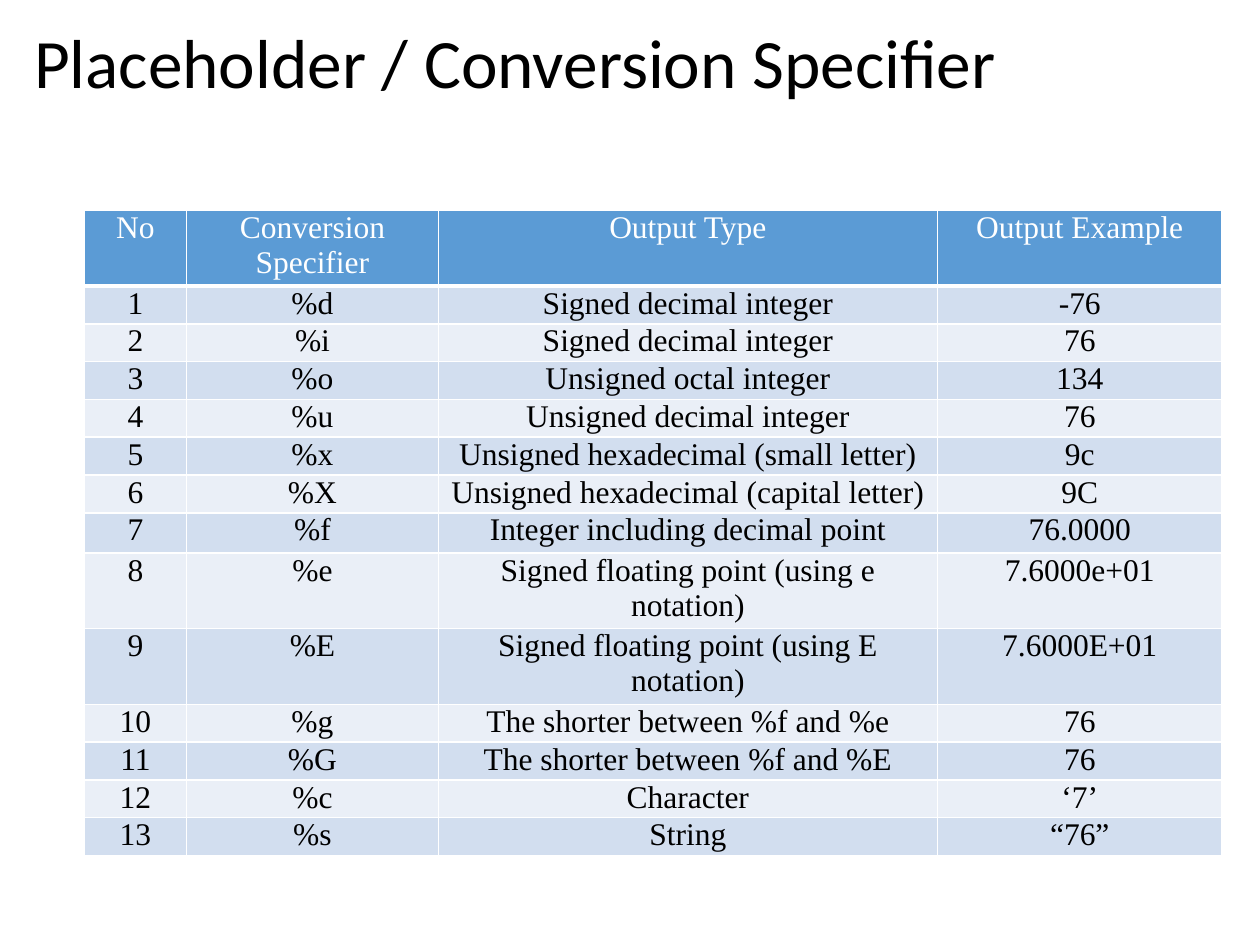
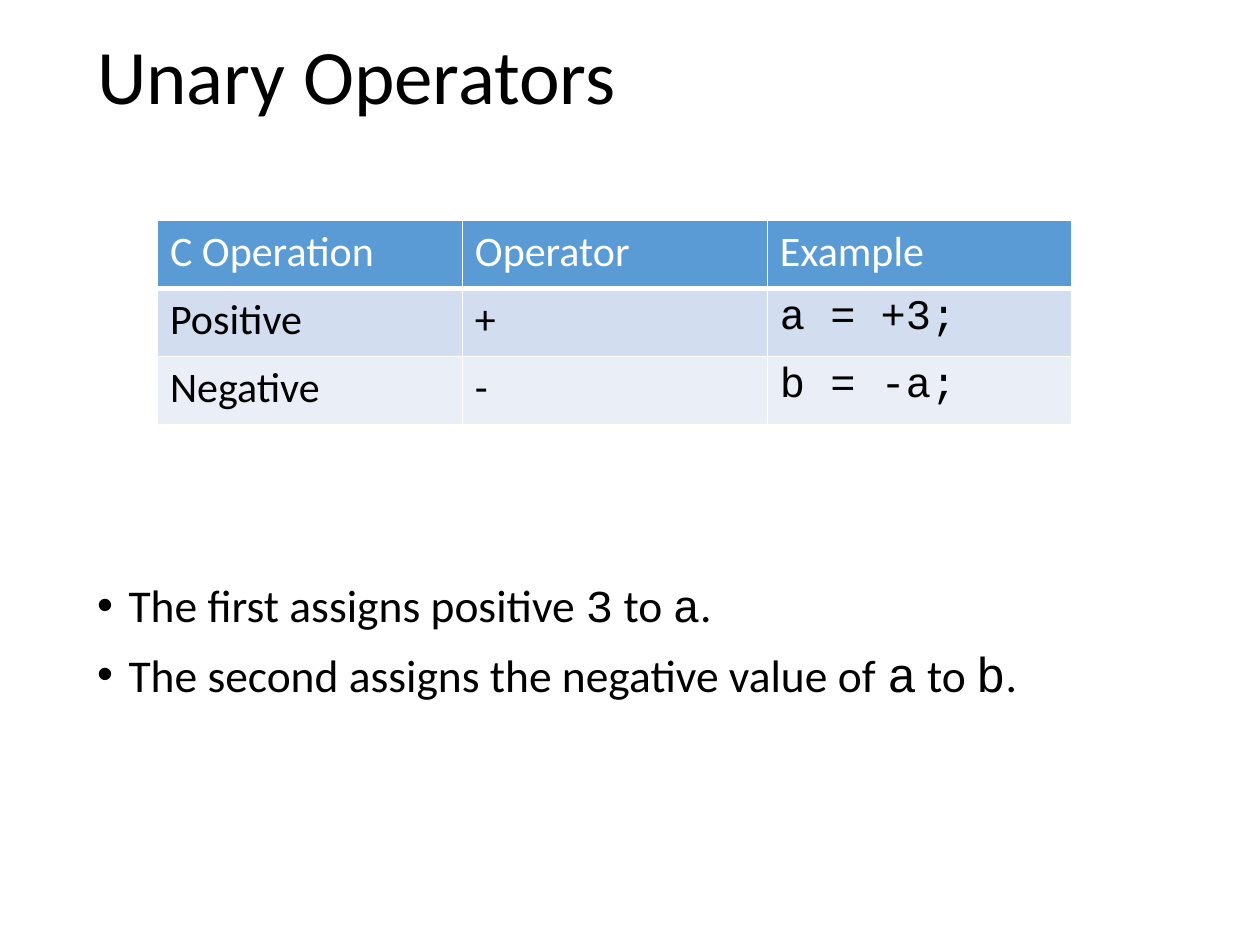
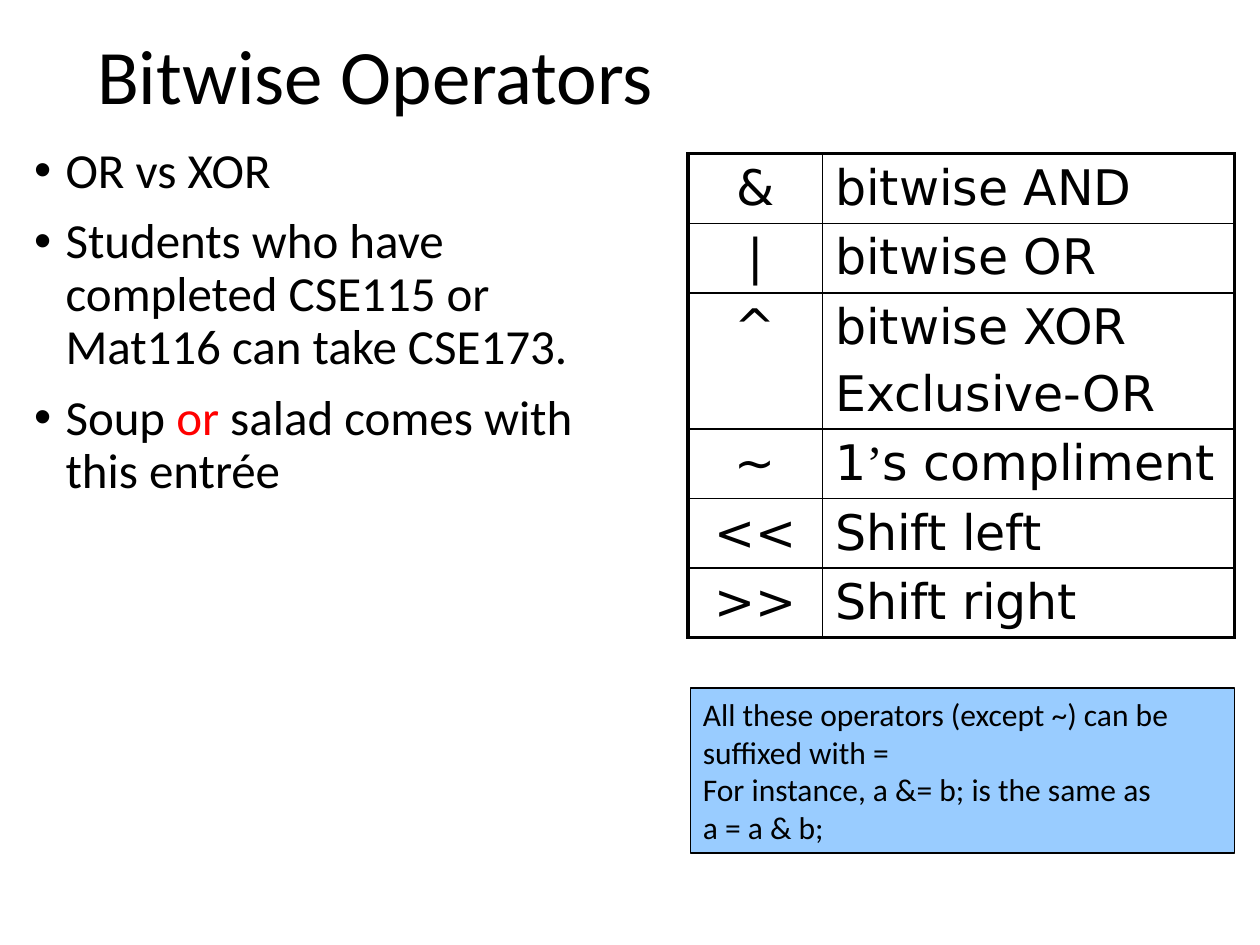
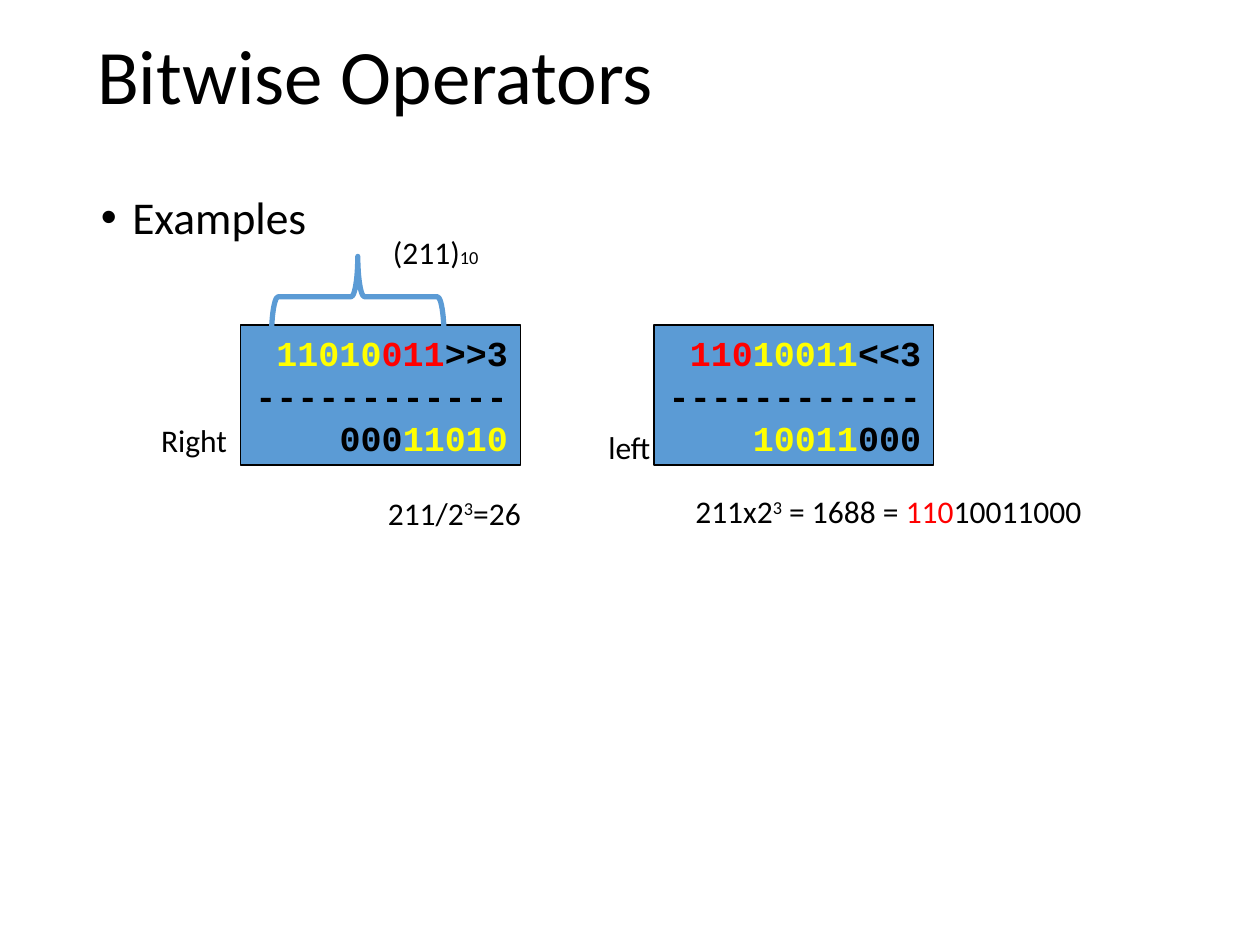
import pptx
import pptx.dml.color
import pptx.enum.shapes
import pptx.enum.text
import pptx.oxml.ns
import pptx.util
from lxml import etree

PX = 9144  # 100 px to the inch
COLORS = {
    "black": "000000", "white": "FFFFFF", "red": "FF0000", "yellow": "FFFF00",
    "accent": "5B9BD5", "band_dark": "D2DEEF", "band_light": "EAEFF7", "note": "99CCFF",
}
BODY, CODE, SERIF, SANS = "Calibri", "Courier New", "Times New Roman", "DejaVu Sans"
TITLE_BOX = (67, 25, 892, 108)
ALIGN = pptx.enum.text.PP_ALIGN
ANCHOR = pptx.enum.text.MSO_ANCHOR
FIT = pptx.enum.text.MSO_AUTO_SIZE
SHAPES = pptx.enum.shapes.MSO_SHAPE


def px(*lengths):
    return [pptx.util.Emu(length * PX) for length in lengths]


def rgb(name):
    return pptx.dml.color.RGBColor.from_string(COLORS[name])


def add_bullet(paragraph):
    properties = paragraph._p.get_or_add_pPr()
    properties.set("marL", str(25 * PX))
    properties.set("indent", str(-25 * PX))
    etree.SubElement(properties, pptx.oxml.ns.qn("a:buChar")).set("char", "•")


def write(frame, paragraphs, align=ALIGN.LEFT, spacing=None, before=0, bullet=False, **font):
    """Each paragraph is a string or a list of runs; a run is a string or (string, format)."""
    for index, runs in enumerate(paragraphs):
        paragraph = frame.paragraphs[0] if index == 0 else frame.add_paragraph()
        if bullet:
            add_bullet(paragraph)
        paragraph.alignment = align
        paragraph.space_before = pptx.util.Pt(before if index else 0)
        if spacing:
            paragraph.line_spacing = spacing
        for piece in [runs] if isinstance(runs, str) else runs:
            words, changes = (piece, {}) if isinstance(piece, str) else piece
            look = {"size": 18, "name": BODY, "color": "black", "bold": False, **font, **changes}
            run = paragraph.add_run()
            run.text = words
            run.font.size = pptx.util.Pt(look["size"])
            run.font.name = look["name"]
            run.font.bold = look["bold"]
            run.font.color.rgb = rgb(look["color"])
            if "baseline" in look:
                run._r.get_or_add_rPr().set("baseline", str(look["baseline"]))


def fill_placeholder(placeholder, box, paragraphs, **font):
    placeholder.left, placeholder.top, placeholder.width, placeholder.height = px(*box)
    frame = placeholder.text_frame
    frame.auto_size = FIT.NONE
    frame.vertical_anchor = ANCHOR.TOP
    write(frame, paragraphs, spacing=0.9, **font)


def start_slide(deck, title, title_box=TITLE_BOX, size=44, bullets=None, bullet_box=None,
                bullet_size=26):
    slide = deck.slides.add_slide(deck.slide_layouts[1 if bullets else 5])
    fill_placeholder(slide.shapes.title, title_box, [title], size=size)
    if bullets:
        fill_placeholder(slide.placeholders[1], bullet_box, bullets, size=bullet_size,
                         before=10, bullet=True)
    return slide


def add_box(slide, box, paragraphs, fill, wrap=True, **font):
    panel = slide.shapes.add_shape(SHAPES.RECTANGLE, *px(*box))
    panel.shadow.inherit = False
    panel.fill.solid()
    panel.fill.fore_color.rgb = rgb(fill)
    panel.line.color.rgb = rgb("black")
    panel.line.width = pptx.util.Pt(0.75)
    panel.text_frame.word_wrap = wrap
    panel.text_frame.vertical_anchor = ANCHOR.MIDDLE
    write(panel.text_frame, paragraphs, **font)


def add_label(slide, box, runs):
    frame = slide.shapes.add_textbox(*px(*box)).text_frame
    frame.word_wrap = False
    frame.auto_size = FIT.SHAPE_TO_FIT_TEXT
    write(frame, [runs])


# Tables
def set_borders(cell, color, widths):
    properties = cell._tc.get_or_add_tcPr()
    for side, width in widths.items():
        line = etree.SubElement(properties, pptx.oxml.ns.qn("a:ln" + side))
        line.set("w", str(pptx.util.Pt(width)))
        fill = etree.SubElement(line, pptx.oxml.ns.qn("a:solidFill"))
        etree.SubElement(fill, pptx.oxml.ns.qn("a:srgbClr")).set("val", COLORS[color])


def add_grid(slide, left, top, columns, heights, rows, format_cell):
    box = px(left, top, sum(columns), sum(heights))
    grid = slide.shapes.add_table(len(rows), len(columns), *box).table
    grid.first_row = grid.horz_banding = False
    for column, width in zip(grid.columns, px(*columns)):
        column.width = width
    for row, height in zip(grid.rows, px(*heights)):
        row.height = height
    for r, row in enumerate(rows):
        for c, content in enumerate(row):
            format_cell(grid.cell(r, c), r, c, content)


def add_banded_table(slide, left, top, columns, heights, rows, margins=(10, 5), **font):
    def format_cell(cell, r, c, content):
        set_borders(cell, "white", {"L": 1, "R": 1, "T": 1, "B": 1 if r else 3})
        cell.fill.solid()
        cell.fill.fore_color.rgb = rgb(
            "accent" if r == 0 else "band_dark" if r % 2 else "band_light")
        cell.margin_left = cell.margin_right = px(margins[0])[0]
        cell.margin_top = cell.margin_bottom = px(margins[1])[0]
        write(cell.text_frame, [content], color="black" if r else "white", **font)

    add_grid(slide, left, top, columns, heights, rows, format_cell)


def add_ruled_table(slide, left, top, columns, heights, rows, **font):
    def format_cell(cell, r, c, content):
        outer = {"L": c == 0, "R": c == len(columns) - 1, "T": r == 0, "B": r == len(rows) - 1}
        set_borders(cell, "black", {side: 2.25 if edge else 1 for side, edge in outer.items()})
        cell.fill.background()
        write(cell.text_frame, content if c else [content],
              align=ALIGN.LEFT if c else ALIGN.CENTER, before=5.6, **font)

    add_grid(slide, left, top, columns, heights, rows, format_cell)


# Slides
def specifier_slide(deck):
    slide = start_slide(deck, "Placeholder / Conversion Specifier", (17, 18, 962, 74), 39.6)
    specifiers = [
        ("%d", "Signed decimal integer", "-76"),
        ("%i", "Signed decimal integer", "76"),
        ("%o", "Unsigned octal integer", "134"),
        ("%u", "Unsigned decimal integer", "76"),
        ("%x", "Unsigned hexadecimal (small letter)", "9c"),
        ("%X", "Unsigned hexadecimal (capital letter)", "9C"),
        ("%f", "Integer including decimal point", "76.0000"),
        ("%e", "Signed floating point (using e notation)", "7.6000e+01"),
        ("%E", "Signed floating point (using E notation)", "7.6000E+01"),
        ("%g", "The shorter between %f and %e", "76"),
        ("%G", "The shorter between %f and %E", "76"),
        ("%c", "Character", "‘7’"),
        ("%s", "String", "“76”"),
    ]
    rows = [("No", "Conversion Specifier", "Output Type", "Output Example")]
    rows += [(str(number), *entry) for number, entry in enumerate(specifiers, 1)]
    heights = [60] + [30] * 6 + [32, 60, 60] + [30] * 4
    add_banded_table(slide, 67, 167, [81, 200, 396, 226], heights, rows,
                     margins=(7, 0), name=SERIF, align=ALIGN.CENTER)


def unary_slide(deck):
    code, large_code = {"name": CODE}, {"name": CODE, "size": 28}
    slide = start_slide(deck, "Unary Operators", bullet_box=(67, 458, 892, 225), bullets=[
        ["The first assigns positive ", ("3", code), " to ", ("a", code), "."],
        ["The second assigns the negative value of ", ("a", large_code), " to ",
         ("b", large_code), "."],
    ])
    rows = [
        ("C Operation", "Operator", "Example"),
        ("Positive", "+", [("a = +3;", code)]),
        ("Negative", "-", [("b = -a;", code)]),
    ]
    add_banded_table(slide, 125, 175, [242] * 3, [54] * 3, rows, size=24)


def bitwise_slide(deck):
    slide = start_slide(deck, "Bitwise Operators", bullet_box=(17, 111, 495, 565),
                        bullet_size=28, bullets=[
        "OR vs XOR",
        "Students who have completed CSE115 or Mat116 can take CSE173.",
        ["Soup ", ("or", {"color": "red"}), " salad comes with this entrée"],
    ])
    operators = [
        ("&", ["bitwise AND"]),
        ("|", ["bitwise OR"]),
        ("^", ["bitwise XOR", "Exclusive-OR"]),
        ("~", [["1", ("’", {"name": SERIF}), "s compliment"]]),
        ("<<", ["Shift left"]),
        (">>", ["Shift right"]),
    ]
    heights = [55 if len(lines) == 1 else 108 for _, lines in operators]
    add_ruled_table(slide, 546, 122, [107, 327], heights, operators, name=SANS, size=28)
    add_box(slide, (548, 546, 432, 131), [
        "All these operators (except ~) can be suffixed with =",
        "For instance, a &= b; is the same as",
        "a = a & b;",
    ], "note")


def add_shift(slide, box, operand, outcome, label, label_box, result, result_box):
    """Label and result boxes are given relative to the panel's corner."""
    add_box(slide, box, [operand, "-" * 12, outcome], "accent", wrap=False,
            align=ALIGN.RIGHT, name=CODE, size=20, bold=True)
    for runs, (dx, dy, width, height) in ((label, label_box), (result, result_box)):
        add_label(slide, (box[0] + dx, box[1] + dy, width, height), runs)


def shift_slide(deck):
    slide = start_slide(deck, "Bitwise Operators", bullets=["Examples"],
                        bullet_box=(70, 150, 892, 492))
    red, yellow, raised = {"color": "red"}, {"color": "yellow"}, {"baseline": 30000}
    add_shift(slide, (191, 258, 222, 111),
              [("11010", yellow), ("011", red), ">>3"], ["000", ("11010", yellow)],
              "Right", (-73, 71, 73, 40),
              ["211/2", ("3", raised), "=26"], (107, 129, 128, 40))
    add_shift(slide, (519, 258, 222, 111),
              [("110", red), ("10011", yellow), "<<3"], [("10011", yellow), "000"],
              "left", (-46, 77, 55, 40),
              ["211x2", ("3", raised), " = 1688 = ", ("110", red), "10011000"],
              (23, 128, 331, 40))

    # Brace over the shifted number
    brace = slide.shapes.add_shape(SHAPES.RIGHT_BRACE, *px(252, 167, 64, 137))
    brace.rotation = 270
    brace.shadow.inherit = False
    brace.fill.background()
    brace.line.color.rgb = rgb("accent")
    brace.line.width = pptx.util.Pt(3)
    add_label(slide, (302, 180, 89, 40), ["(211)", ("10", {"size": 10.5})])


def main():
    deck = pptx.Presentation()
    deck.slide_width, deck.slide_height = px(1000, 750)
    for build in (specifier_slide, unary_slide, bitwise_slide, shift_slide):
        build(deck)
    deck.save("out.pptx")


if __name__ == "__main__":
    main()
